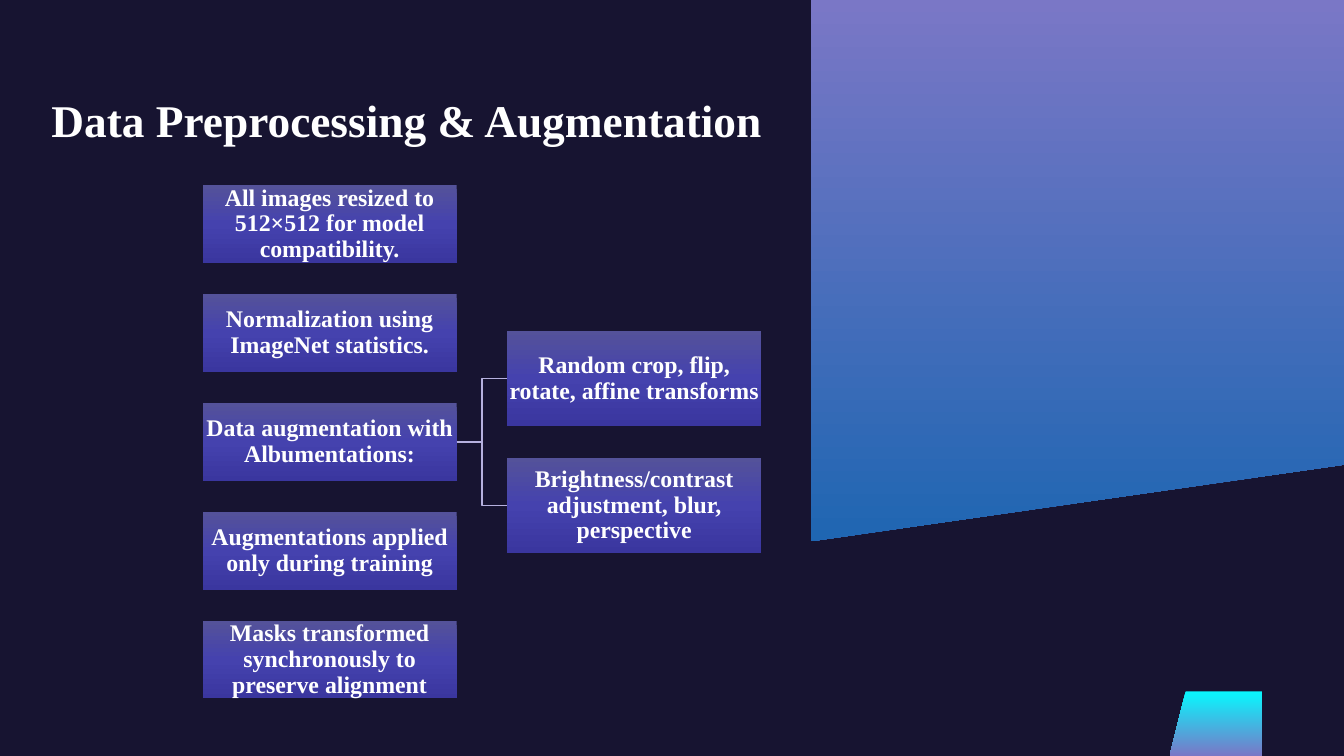
import copy
from dataclasses import dataclass

import pptx
import pptx.dml.color
import pptx.enum.shapes
import pptx.enum.text
import pptx.oxml
import pptx.util
from pptx.util import Inches

COLORS = {
    "night": "171431",
    "white": "FFFFFF",
    "connector": "B6B1DF",
    "lilac": "7A77C6",
    "ocean": "1F66B2",
    "cyan": "08F7FE",
    "box_top": "54529A",
    "box_middle": "4542AE",
    "box_bottom": "3A369F",
}
FONT = "Times New Roman"
BOX_WIDTH = 2.52


@dataclass
class Step:
    text: str
    left: float
    top: float
    height: float


@dataclass
class Panel:
    points: list[tuple[float, float]]
    colors: list[str]


STEP_TEXTS = [
    "All images resized to 512×512 for model compatibility.",
    "Normalization using ImageNet statistics.",
    "Data augmentation with Albumentations:",
    "Augmentations applied only during training",
    "Masks transformed synchronously to preserve alignment",
]
DETAIL_TEXTS = [
    "Random crop, flip, rotate, affine transforms",
    "Brightness/contrast adjustment, blur, perspective",
]
STEPS = [Step(text, 2.01, 1.84 + 1.08 * row, 0.77) for row, text in enumerate(STEP_TEXTS)]
DETAILS = [Step(text, 5.03, 3.28 + 1.26 * row, 0.95) for row, text in enumerate(DETAIL_TEXTS)]
PANELS = [
    Panel([(11.6, 7.5), (11.76, 6.86), (12.52, 6.86), (12.52, 7.5)], ["cyan", "lilac"]),
    Panel([(8.04, 0), (13.33, 0), (13.33, 4.61), (8.04, 5.37)], ["lilac", "ocean"]),
]


def rgb(name: str) -> pptx.dml.color.RGBColor:
    return pptx.dml.color.RGBColor.from_string(COLORS[name])


def style_text(para, size: float) -> None:
    para.line_spacing = 0.9
    para.font.name = FONT
    para.font.size = pptx.util.Pt(size)
    para.font.bold = True
    para.font.color.rgb = rgb("white")


def paint_downward(shape, colors: list[str]) -> None:
    shape.shadow.inherit = False
    shape.line.fill.background()
    shape.fill.gradient()
    shape.fill.gradient_angle = 270
    stop_list = shape.element.xpath(".//a:gsLst")[0]
    for _ in colors[2:]:
        stop_list.append(copy.deepcopy(stop_list[-1]))
    for index, (stop, color) in enumerate(zip(shape.fill.gradient_stops, colors)):
        stop.position = index / (len(colors) - 1)
        stop.color.rgb = rgb(color)


def draw_panel(page, panel: Panel) -> None:
    start, *others = [(Inches(x), Inches(y)) for x, y in panel.points]
    builder = page.shapes.build_freeform(*start)
    builder.add_line_segments(others, close=True)
    paint_downward(builder.convert_to_shape(), panel.colors)


def draw_step(page, step: Step):
    box = page.shapes.add_shape(
        pptx.enum.shapes.MSO_SHAPE.RECTANGLE,
        Inches(step.left), Inches(step.top), Inches(BOX_WIDTH), Inches(step.height),
    )
    paint_downward(box, ["box_top", "box_middle", "box_bottom"])
    frame = box.text_frame
    frame.word_wrap = True
    frame.vertical_anchor = pptx.enum.text.MSO_ANCHOR.MIDDLE
    frame.margin_left = frame.margin_right = Inches(0.01)
    frame.margin_top = frame.margin_bottom = Inches(0.01)
    para = frame.paragraphs[0]
    para.text = step.text
    para.alignment = pptx.enum.text.PP_ALIGN.CENTER
    style_text(para, 17)
    return box


def connect(page, parent, child) -> None:
    connector = page.shapes.add_connector(pptx.enum.shapes.MSO_CONNECTOR.ELBOW, 0, 0, 0, 0)
    connector.begin_connect(parent, 3)
    connector.end_connect(child, 1)
    connector.line.color.rgb = rgb("connector")
    connector.line.width = pptx.util.Pt(1)
    properties = connector.element.spPr
    properties.append(properties.makeelement(pptx.oxml.ns.qn("a:effectLst"), {}))


def draw_title(page, text: str) -> None:
    title = page.shapes.title
    title.left, title.top = Inches(0.41), Inches(0.74)
    title.width, title.height = Inches(8), Inches(0.95)
    frame = title.text_frame
    frame.text = text
    frame.word_wrap = True
    frame.auto_size = pptx.enum.text.MSO_AUTO_SIZE.NONE
    frame.vertical_anchor = pptx.enum.text.MSO_ANCHOR.MIDDLE
    para = frame.paragraphs[0]
    para.alignment = pptx.enum.text.PP_ALIGN.LEFT
    style_text(para, 32.4)


def main() -> None:
    deck = pptx.Presentation()
    deck.slide_width, deck.slide_height = Inches(13.33), Inches(7.5)
    page = deck.slides.add_slide(deck.slide_layouts[5])
    page.background.fill.solid()
    page.background.fill.fore_color.rgb = rgb("night")
    for panel in PANELS:
        draw_panel(page, panel)
    draw_title(page, "Data Preprocessing & Augmentation")
    step_boxes = [draw_step(page, step) for step in STEPS]
    for detail in DETAILS:
        connect(page, step_boxes[2], draw_step(page, detail))
    deck.save("out.pptx")


if __name__ == "__main__":
    main()
